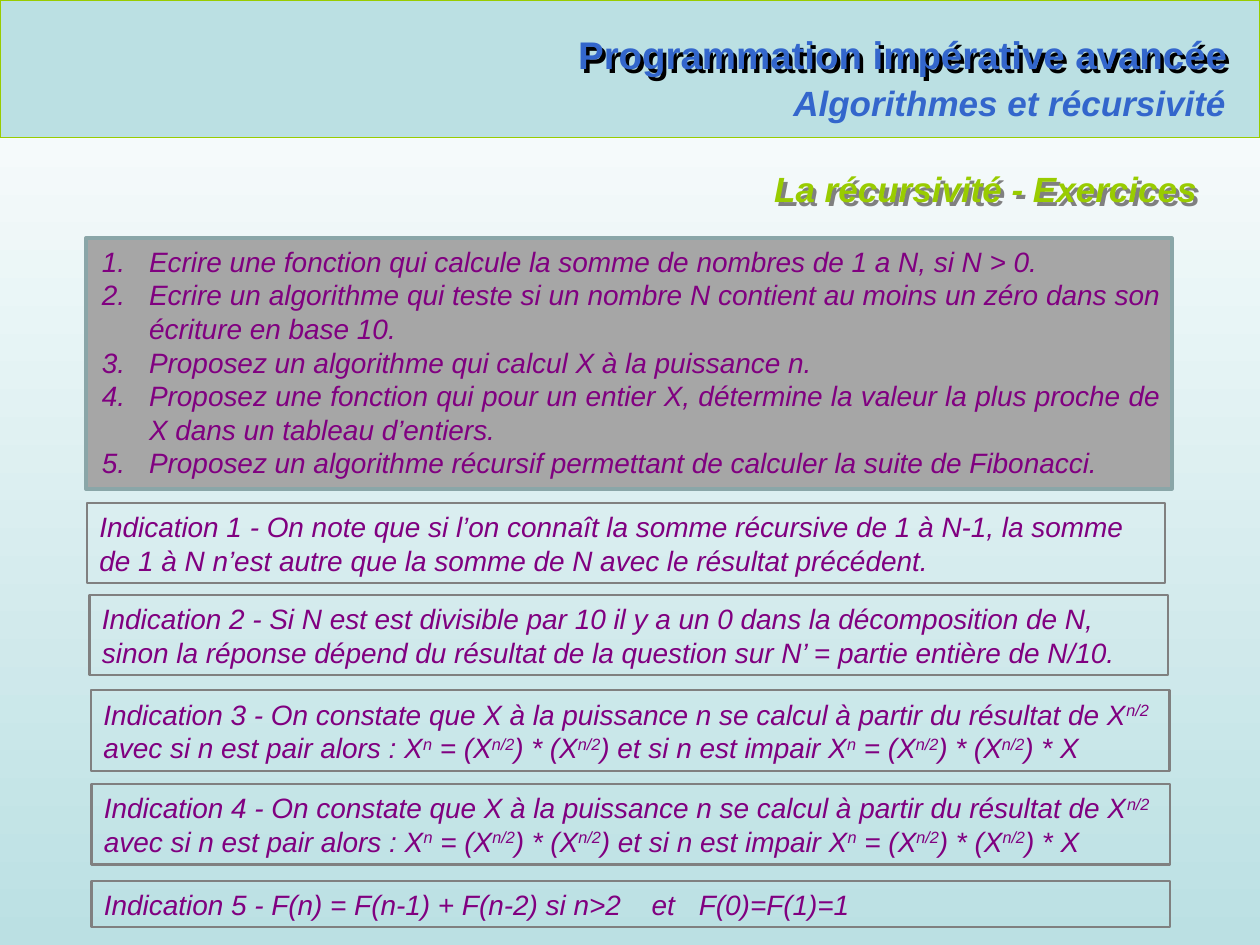
from lxml import etree
from pptx import Presentation
from pptx import util as u
from pptx.dml import color
from pptx.enum import shapes, text
from pptx.oxml import ns

BLUE, GREEN, PURPLE = "3366CC", "99CC00", "800080"
PALE, GREY = "BBE0E3", "808080"
RIGHT, JUSTIFY = text.PP_ALIGN.RIGHT, text.PP_ALIGN.JUSTIFY


def rgb(value):
    return color.RGBColor.from_string(value)


def add_node(parent, tag, **attributes):
    return etree.SubElement(parent, ns.qn(tag), attributes)


class SlideWriter:
    font = "Arial"

    def __init__(self, slide):
        self.slide = slide

    def background(self, top, bottom):
        fill = self.slide.background.fill
        fill.gradient()
        fill.gradient_angle = 270
        for stop, shade, position in zip(fill.gradient_stops, (top, bottom), (0, 1)):
            stop.color.rgb = rgb(shade)
            stop.position = position

    def rectangle(self, place, line, width, fill=None):
        box = self.slide.shapes.add_shape(
            shapes.MSO_SHAPE.RECTANGLE, *map(u.Pt, place))
        box.shadow.inherit = False
        box.line.color.rgb = rgb(line)
        box.line.width = u.Pt(width)
        if fill:
            box.fill.solid()
            box.fill.fore_color.rgb = rgb(fill)
        else:
            box.fill.background()
        return box

    def rule(self, left, right, y, line, width):
        rule = self.slide.shapes.add_connector(
            shapes.MSO_CONNECTOR.STRAIGHT, u.Pt(left), u.Pt(y), u.Pt(right), u.Pt(y))
        rule.line.color.rgb = rgb(line)
        rule.line.width = u.Pt(width)
        add_node(rule._element.spPr, "a:effectLst")

    def textbox(self, place, wrap=True):
        box = self.slide.shapes.add_textbox(*map(u.Pt, place))
        box.text_frame.word_wrap = wrap
        box.text_frame.auto_size = text.MSO_AUTO_SIZE.SHAPE_TO_FIT_TEXT
        return box

    def style(self, span, size, shade, bold=False, italic=True):
        span.font.name = self.font
        span.font.size = u.Pt(size)
        span.font.color.rgb = rgb(shade)
        span.font.bold = bold
        span.font.italic = italic

    def heading(self, place, words, size, shade, italic=True, wrap=False, shadow=None):
        box = self.textbox(place, wrap)
        para = box.text_frame.paragraphs[0]
        para.text = words
        para.alignment = RIGHT
        self.style(para.runs[0], size, shade, bold=True, italic=italic)
        if shadow:
            effects = add_node(box._element.spPr, "a:effectLst")
            cast = add_node(effects, "a:outerShdw", dist=str(u.Pt(2.8)), dir="2700000")
            add_node(cast, "a:srgbClr", val=shadow)

    def numbered_list(self, place, items, indent):
        frame = self.textbox(place).text_frame
        frame.text = "\n".join(items)
        for para in frame.paragraphs:
            para.alignment = JUSTIFY
            properties = para._p.get_or_add_pPr()
            properties.set("marL", str(u.Pt(indent)))
            properties.set("indent", str(u.Pt(-indent)))
            add_node(properties, "a:buFont", typeface="+mj-lt")
            add_node(properties, "a:buAutoNum", type="arabicPeriod")
            self.style(para.runs[0], 16, PURPLE)

    def hint(self, place, words, tabs=()):
        frame = self.rectangle(place, GREY, 1.25).text_frame
        frame.word_wrap = True
        frame.vertical_anchor = text.MSO_ANCHOR.MIDDLE
        para = frame.paragraphs[0]
        para.alignment = text.PP_ALIGN.LEFT
        if tabs:
            stops = add_node(para._p.get_or_add_pPr(), "a:tabLst")
            for stop in tabs:
                add_node(stops, "a:tab", pos=str(u.Pt(stop)), algn="l")
        for index, part in enumerate(words.split("|")):
            span = para.add_run()
            span.text = part
            self.style(span, 16, PURPLE)
            if index % 2:
                span.font._element.set("baseline", "30000")


EXERCISES = [
    "Ecrire une fonction qui calcule la somme de nombres de 1 a N, si N > 0.",
    "Ecrire un algorithme qui teste si un nombre N contient au moins un zéro dans son écriture en base 10.",
    "Proposez un algorithme qui calcul X à la puissance n.",
    "Proposez une fonction qui pour un entier X, détermine la valeur la plus proche de X dans un tableau d’entiers.",
    "Proposez un algorithme récursif permettant de calculer la suite de Fibonacci.",
]
POWER = (
    "On constate que X à la puissance n se calcul à partir du résultat de X|n/2| "
    "avec si n est pair alors : X|n| = (X|n/2|) * (X|n/2|) "
    "et si n est impair X|n| = (X|n/2|) * (X|n/2|) * X"
)
HINTS = [
    (49.7, 287.3, 46, "On note que si l’on connaît la somme récursive de 1 à N-1, la somme "
     "de 1 à N n’est autre que la somme de N avec le résultat précédent.", ()),
    (51.2, 339.9, 46, "Si N est est divisible par 10 il y a un 0 dans la décomposition de N, "
     "sinon la réponse dépend du résultat de la question sur N’ = partie entière de N/10.", ()),
    (52, 394.5, 46, POWER, ()),
    (52.3, 448, 46, POWER, ()),
    (52.3, 503.3, 26.6, "F(n) = F(n-1) + F(n-2) si n>2\tet\tF(0)=F(1)=1", (313, 340)),
]


def main():
    deck = Presentation()
    deck.slide_width, deck.slide_height = u.Pt(720), u.Pt(540)
    page = SlideWriter(deck.slides.add_slide(deck.slide_layouts[6]))
    page.background("FFFFFF", PALE)
    page.rectangle((0, 0, 720, 78.5), GREEN, 0.75, PALE)
    page.heading((318.2, 14.4, 390.3, 33.9), "Programmation impérative avancée",
                 22, BLUE, italic=False, shadow="000000")
    page.heading((439.2, 43.2, 268.5, 31.5), "Algorithmes et récursivité", 20, BLUE)
    page.rule(24.5, 702.7, 78.5, GREEN, 0.75)
    page.heading((302.4, 92.2, 388.8, 31.5), "La récursivité - Exercices",
                 20, GREEN, wrap=True, shadow=GREY)
    page.rectangle((49, 136.1, 620.6, 143.3), "8AA6A8", 2, "A6A6A6")
    page.numbered_list((51.1, 136.1, 619.2, 143.3), EXERCISES, 27)
    for number, (left, top, height, words, tabs) in enumerate(HINTS, 1):
        page.hint((left, top, 616.3, height), f"Indication {number} - {words}", tabs)
    deck.save("out.pptx")


if __name__ == "__main__":
    main()
